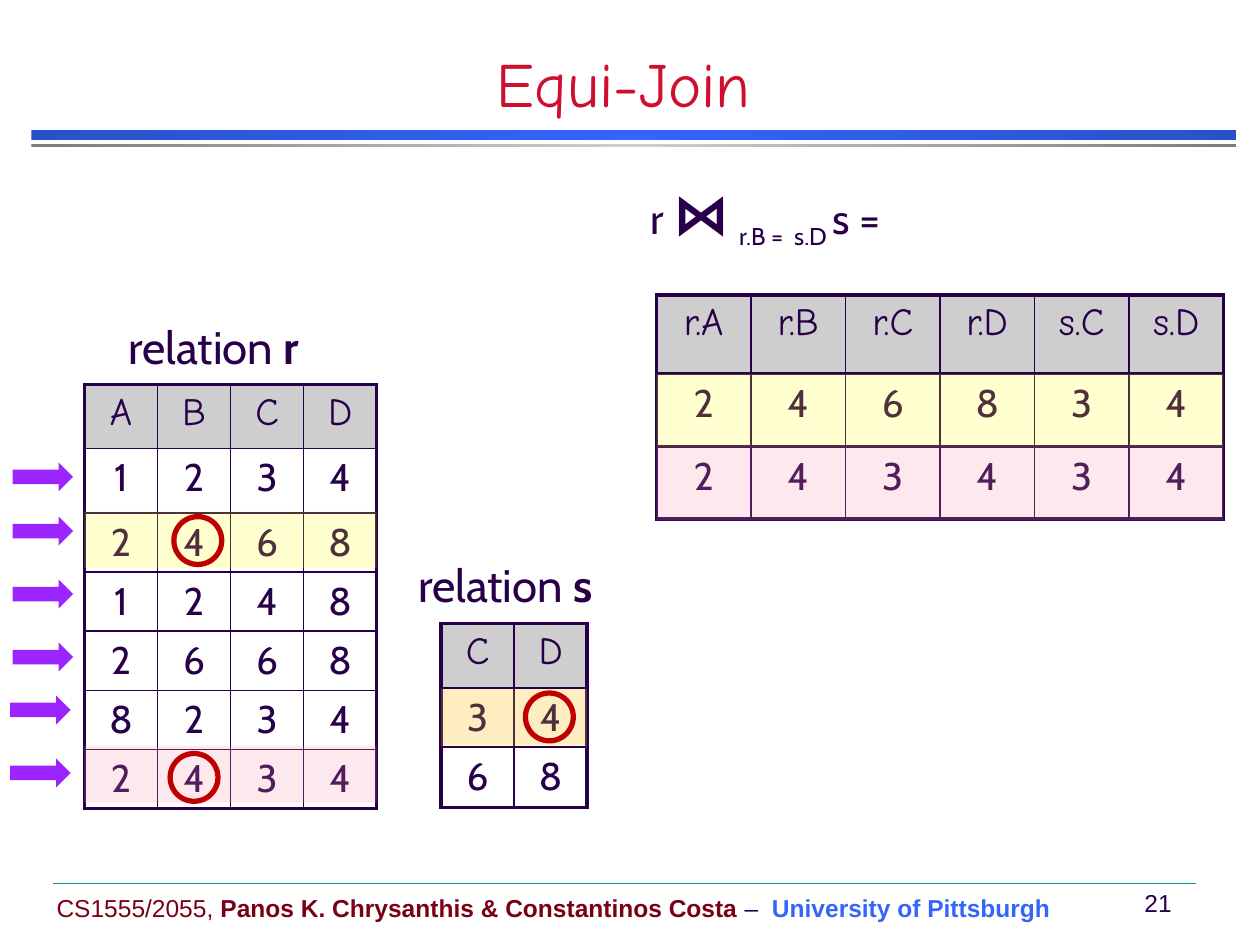
from copy import deepcopy
from dataclasses import dataclass
from lxml import etree
from pptx import Presentation, util as u
from pptx.dml.color import RGBColor
from pptx.enum import shapes, text
from pptx.oxml.ns import qn


@dataclass(frozen=True)
class Theme:
    ink: str = "280049"
    title: str = "CF0E30"
    course: str = "790015"
    school: str = "3365FB"
    header: str = "CECECE"
    yellow: str = "FFFF00"
    pink: str = "F893A5"
    arrow: str = "9C24FF"
    ring: str = "C00000"
    rule: str = "009688"
    display: str = "Comic Neue"
    body: str = "Cabin"
    footer: str = "Arial"
    title_size: int = 36
    label_size: int = 26
    formula_size: int = 24
    join_size: int = 32
    cell_size: int = 22
    footer_size: int = 14


theme = Theme()
rgb = RGBColor.from_string
kinds = shapes.MSO_SHAPE

deck = Presentation()
deck.slide_width, deck.slide_height = u.Inches(10), u.Inches(7.5)
slide = deck.slides.add_slide(deck.slide_layouts[5])
canvas = slide.shapes


def relation(left, top, col_width, heights, rows, has_header=True, heavy="LRTB"):
    cols = len(rows[0])
    box = [u.Inches(v) for v in (left, top, col_width * cols, sum(heights))]
    table = canvas.add_table(len(rows), cols, *box).table
    table.first_row = table.horz_banding = False
    for column in table.columns:
        column.width = u.Inches(col_width)
    for r, values in enumerate(rows):
        table.rows[r].height = u.Inches(heights[r])
        is_header = has_header and r == 0
        for c, value in enumerate(values):
            cell = table.cell(r, c)
            edges = {"L": c == 0, "R": c == cols - 1, "T": r == 0, "B": r == len(rows) - 1}
            props = cell._tc.get_or_add_tcPr()
            for side, outer in edges.items():
                width = 2.25 if outer and side in heavy else 1
                border = etree.SubElement(props, qn("a:ln" + side), w=str(u.Pt(width)))
                solid = etree.SubElement(border, qn("a:solidFill"))
                etree.SubElement(solid, qn("a:srgbClr"), val=theme.ink)
            if is_header:
                cell.fill.solid()
                cell.fill.fore_color.rgb = rgb(theme.header)
            else:
                cell.fill.background()
            cell.text = value
            line = cell.text_frame.paragraphs[0]
            line.alignment = text.PP_ALIGN.CENTER
            line.space_before = u.Pt(theme.cell_size * 0.2)
            line.font.size = u.Pt(theme.cell_size)
            line.font.name = theme.display if is_header else theme.body
            line.font.color.rgb = rgb(theme.ink)


def block(kind, left, top, width, height, color=None, alpha=100):
    part = canvas.add_shape(kind, *[u.Inches(v) for v in (left, top, width, height)])
    part.shadow.inherit = False
    part.line.fill.background()
    if color:
        part.fill.solid()
        part.fill.fore_color.rgb = rgb(color)
        if alpha < 100:
            tint = part._element.spPr.find(".//" + qn("a:srgbClr"))
            etree.SubElement(tint, qn("a:alpha"), val=str(alpha * 1000))
    else:
        part.fill.background()
    return part


for top, height, edge, middle in ((1.03, 0.08, "2951C9", "3365FB"), (1.14, 0.03, "7C7C7C", "CECECE")):
    band = block(kinds.RECTANGLE, 0.25, top, 9.56, height)
    band.fill.gradient()
    band.fill.gradient_angle = 0
    first, last = band.fill.gradient_stops
    first.color.rgb, last.color.rgb = rgb(edge), rgb(middle)
    first.position, last.position = 0, 0.5
    stops = band._element.spPr.find(".//" + qn("a:gsLst"))
    closing = deepcopy(stops[0])
    closing.set("pos", "100000")
    stops.append(closing)

rule = canvas.add_connector(shapes.MSO_CONNECTOR.STRAIGHT, *[u.Inches(v) for v in (0.42, 7.01, 9.49, 7.01)])
rule.line.color.rgb = rgb(theme.rule)
rule.line.width = u.Pt(0.25)
etree.SubElement(rule._element.spPr, qn("a:effectLst"))

title = canvas.title
title.left, title.top, title.width, title.height = [u.Inches(v) for v in (0, 0.42, 9.9, 0.58)]
title.text = "Equi-Join"
title.text_frame.vertical_anchor = text.MSO_ANCHOR.BOTTOM
heading = title.text_frame.paragraphs[0]
heading.alignment = text.PP_ALIGN.CENTER
heading.font.size = u.Pt(theme.title_size)
heading.font.name = theme.display
heading.font.color.rgb = rgb(theme.title)

footer_style = (theme.footer, theme.footer_size)
label_style = (theme.body, theme.label_size)
captions = (
    ((0.35, 7.04, 8.11, 0.33), footer_style, (
        ("CS1555/2055, ", {"color": theme.course}),
        ("Panos K. Chrysanthis & Constantinos Costa", {"color": theme.course, "bold": True}),
        (" –  ", {}),
        ("University of Pittsburgh", {"color": theme.school, "bold": True}))),
    ((8.93, 7, 0.49, 0.33), footer_style, ((" 21", {}),)),
    ((0.92, 2.53, 1.66, 0.53), label_style, (("relation ", {}), ("r", {"bold": True}))),
    ((3.22, 4.42, 1.69, 0.53), label_style, (("relation ", {}), ("s", {"bold": True}))),
    ((4.99, 1.37, 3, 0.64), (theme.body, theme.formula_size), (
        (" r ", {}),
        ("⋈", {"bold": True, "size": theme.join_size}),
        (" ", {}),
        ("r.B =  s.D ", {"baseline": "-25000"}),
        ("s =", {}))),
)
for place, (face, size), pieces in captions:
    frame = canvas.add_textbox(*[u.Inches(v) for v in place]).text_frame
    frame.word_wrap = False
    line = frame.paragraphs[0]
    line.font.name = face
    if size == theme.label_size:
        line.line_spacing = 0.9
        line.space_before = u.Pt(size * 0.2)
    for words, look in pieces:
        run = line.add_run()
        run.text = words
        run.font.name = face
        run.font.size = u.Pt(look.get("size", size))
        run.font.bold = look.get("bold", False)
        run.font.color.rgb = rgb(look.get("color", theme.ink))
        if "baseline" in look:
            run.font._element.set("baseline", look["baseline"])

r_left, r_col = 0.67, 0.58
s_left = 3.5
join_left, join_col = 5.21, 0.75
r_width, s_width, join_width = 4 * r_col, 2 * r_col, 6 * join_col

block(kinds.RECTANGLE, s_left, 5.46, s_width, 0.45, theme.pink, 20)
relation(r_left, 3.05, r_col, [0.51] * 2 + [0.47] * 5,
         ["ABCD", "1234", "2468", "1248", "2668", "8234", "2434"])
relation(s_left, 4.95, r_col, [0.51, 0.47, 0.48], ["CD", "34", "68"])
relation(join_left, 2.34, join_col, [0.62], [["r.A", "r.B", "r.C", "r.D", "s.C", "s.D"]], heavy="LRT")
relation(join_left, 2.97, join_col, [0.57], ["246834"], False, "LR")
relation(join_left, 3.55, join_col, [0.57], ["243434"], False, "LRB")

for left, top, width, height, color, alpha in (
    (s_left, 5.47, s_width, 0.45, theme.yellow, 19),
    (r_left, 4.06, r_width, 0.45, theme.yellow, 19),
    (r_left, 5.92, r_width, 0.45, theme.pink, 20),
    (join_left, 2.97, join_width, 0.58, theme.yellow, 19),
    (join_left, 3.55, join_width, 0.58, theme.pink, 20),
):
    block(kinds.RECTANGLE, left, top, width, height, color, alpha)

for left, top in ((1.38, 4.1), (1.35, 5.98), (4.17, 5.5)):
    ring = block(kinds.OVAL, left, top, 0.38, 0.38)
    ring.line.color.rgb = rgb(theme.ring)
    ring.line.width = u.Pt(3)

for left, top in ((0.1, 3.67), (0.1, 4.1), (0.1, 4.6), (0.1, 5.1), (0.08, 5.52), (0.08, 6.02)):
    block(kinds.RIGHT_ARROW, left, top, 0.48, 0.23, theme.arrow)

deck.save("out.pptx")
